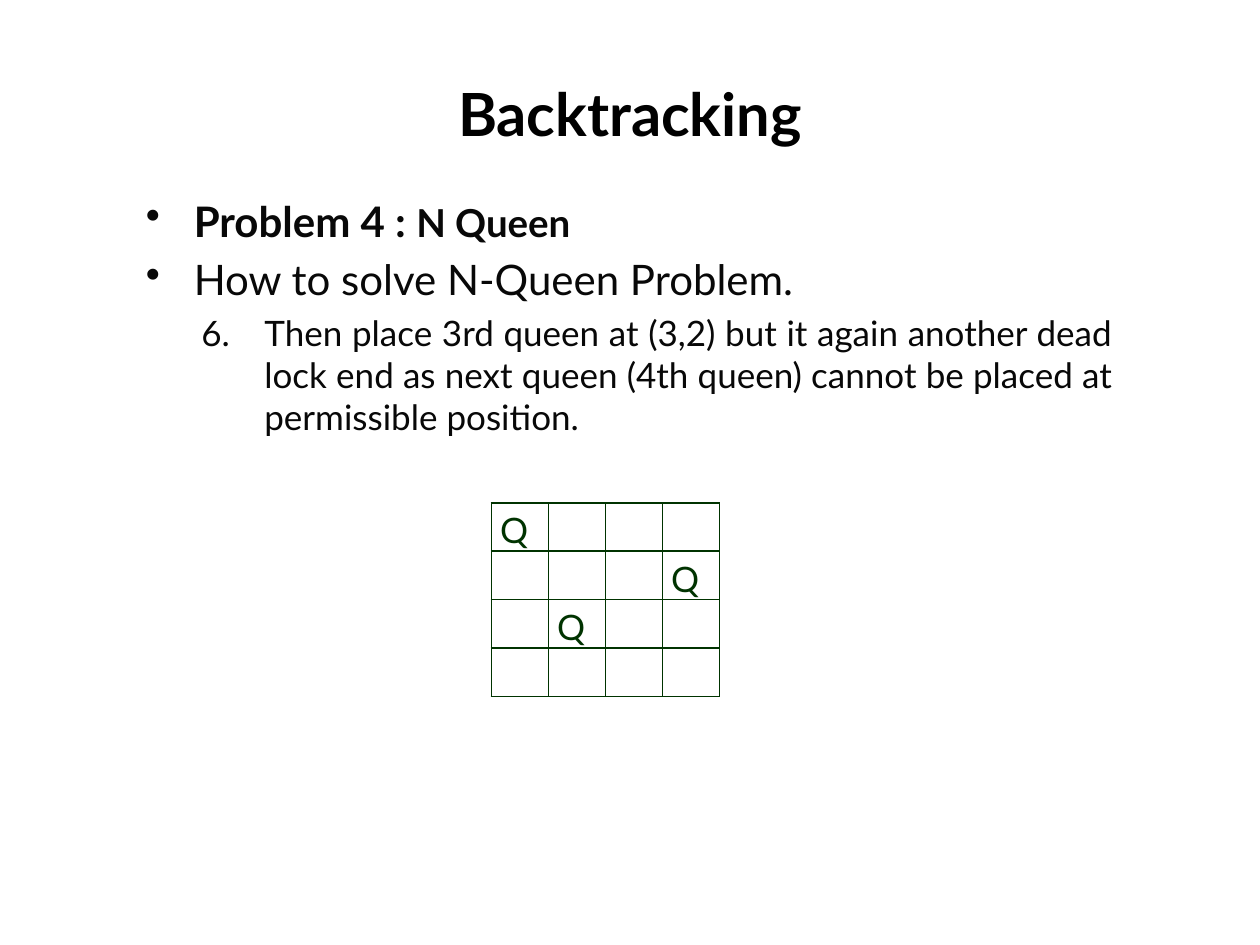
"""Builds a slide on backtracking with a four-queens board."""
from lxml import etree
from pptx import Presentation
from pptx import util as u
from pptx.dml.color import RGBColor
from pptx.enum import text
from pptx.oxml.ns import qn

FONT = "Lato"
BLACK, INK, GREEN = "000000", "080808", "003300"
TITLE = "Backtracking"
BULLET = ("buChar", {"char": "•"})
NUMBER = ("buAutoNum", {"type": "arabicPeriod", "startAt": "6"})
BODY = [
    (0, 0.38, -0.38, 0, BULLET, [("Problem 4 : ", 24, True), ("N Queen", 22, True)]),
    (0, 0.38, -0.38, 4.8, BULLET, [("How to solve N-Queen Problem.", 24, False)]),
    (1, 0.94, -0.5, 4, NUMBER, [
        ("Then place 3rd queen at (3,2) but it again another dead lock end as next "
         "queen (4th queen) cannot be placed at permissible position.", 20, False)]),
]
BOARD = ["Q...", "...Q", ".Q..", "...."]
BOARD_LEFT, BOARD_TOP = 3.9, 3.99
COLUMN_WIDTH, ROW_HEIGHT = 0.4525, 0.385


def color(value):
    return RGBColor.from_string(value)


def add_run(paragraph, words, size, bold, ink):
    run = paragraph.add_run()
    run.text = words
    run.font.name, run.font.size, run.font.bold = FONT, u.Pt(size), bold
    run.font.color.rgb = color(ink)


def add_box(slide, left, top, width, height, anchor):
    frame = slide.shapes.add_textbox(*map(u.Inches, (left, top, width, height))).text_frame
    frame.word_wrap = True
    frame.vertical_anchor = anchor
    return frame


def add_body(slide):
    frame = add_box(slide, 1.06, 1.5, 7.87, 4.5, text.MSO_ANCHOR.TOP)
    for index, (level, margin, indent, gap, marker, runs) in enumerate(BODY):
        paragraph = frame.add_paragraph() if index else frame.paragraphs[0]
        paragraph.level = level
        paragraph.alignment = text.PP_ALIGN.JUSTIFY
        paragraph.space_before = u.Pt(gap)
        properties = paragraph._p.get_or_add_pPr()
        properties.set("marL", str(u.Inches(margin)))
        properties.set("indent", str(u.Inches(indent)))
        tag, attributes = marker
        etree.SubElement(properties, qn("a:" + tag), attributes)
        for words, size, bold in runs:
            add_run(paragraph, words, size, bold, INK)


def set_borders(cell):
    properties = cell._tc.get_or_add_tcPr()
    for position, side in enumerate(("lnL", "lnR", "lnT", "lnB")):
        line = etree.Element(qn("a:" + side), w=str(u.Pt(1)))
        fill = etree.SubElement(line, qn("a:solidFill"))
        etree.SubElement(fill, qn("a:srgbClr"), val=GREEN)
        properties.insert(position, line)


def add_board(slide):
    rows, columns = len(BOARD), len(BOARD[0])
    table = slide.shapes.add_table(
        rows, columns, u.Inches(BOARD_LEFT), u.Inches(BOARD_TOP),
        u.Inches(columns * COLUMN_WIDTH), u.Inches(rows * ROW_HEIGHT)).table
    table.first_row = table.horz_banding = False
    for row, squares in enumerate(BOARD):
        for column, square in enumerate(squares):
            cell = table.cell(row, column)
            cell.fill.background()
            cell.margin_left = u.Inches(0.07)
            cell.margin_right = cell.margin_top = u.Inches(0.01)
            cell.margin_bottom = 0
            cell.vertical_anchor = text.MSO_ANCHOR.BOTTOM
            set_borders(cell)
            if square == "Q":
                add_run(cell.text_frame.paragraphs[0], square, 20, False, GREEN)


def main():
    presentation = Presentation()
    presentation.slide_width, presentation.slide_height = u.Inches(10), u.Inches(7.5)
    slide = presentation.slides.add_slide(presentation.slide_layouts[6])
    title = add_box(slide, 0.5, 0.5, 9, 0.79, text.MSO_ANCHOR.MIDDLE).paragraphs[0]
    title.alignment = text.PP_ALIGN.CENTER
    add_run(title, TITLE, 34, True, BLACK)
    add_body(slide)
    add_board(slide)
    presentation.save("out.pptx")


if __name__ == "__main__":
    main()
